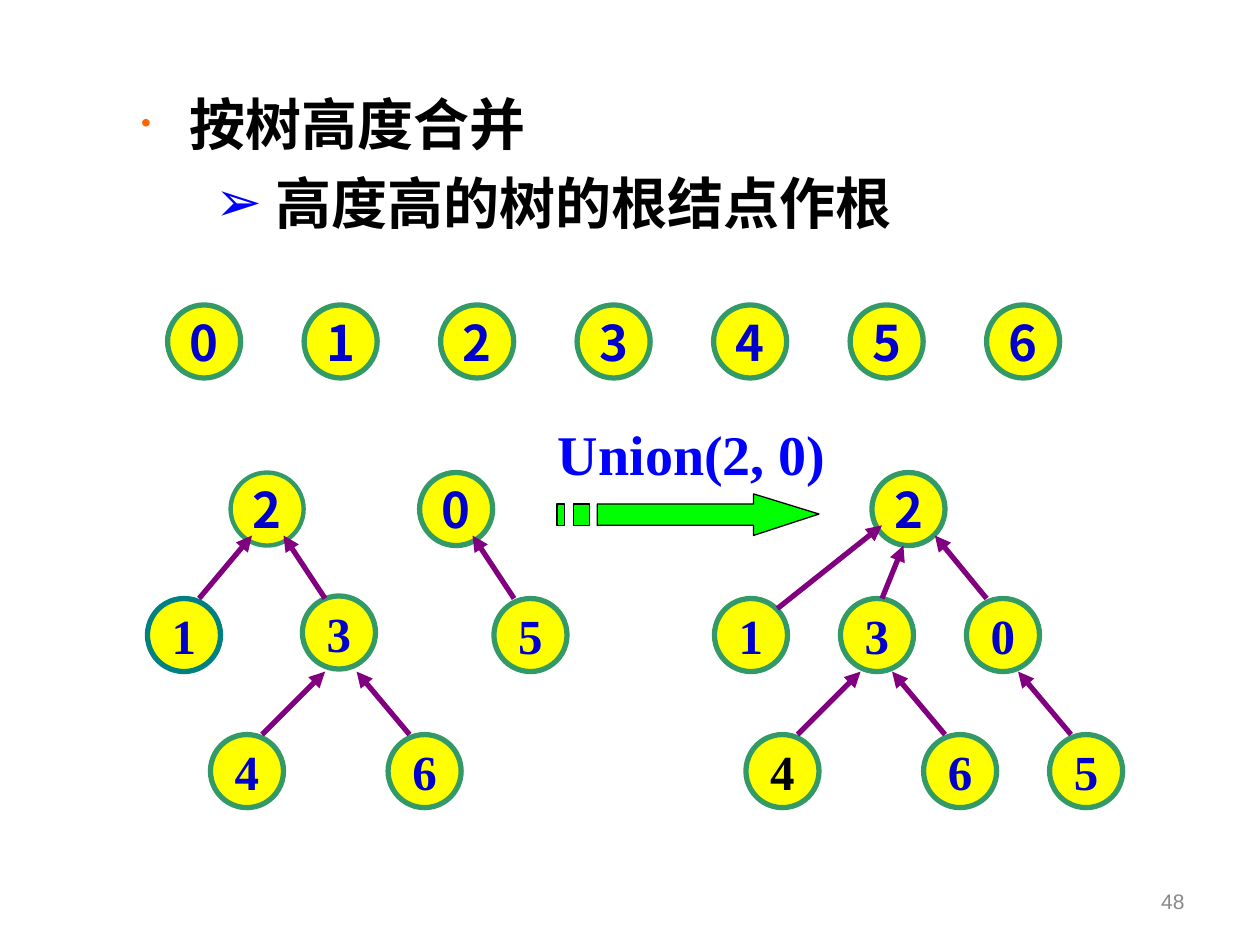
"""Build a slide on merging disjoint-set trees by height."""
from dataclasses import dataclass

from lxml import etree
from pptx import Presentation
from pptx import util as u
from pptx.dml import color
from pptx.enum import shapes, text
from pptx.oxml import ns


@dataclass(frozen=True)
class Theme:
    ink: str = "000000"
    bullet: str = "FF6600"
    blue: str = "0000FF"
    digit: str = "0000CC"
    node: str = "FFFF00"
    ring: str = "339966"
    teal: str = "008080"
    edge: str = "800080"
    arrow: str = "00FF00"
    page: str = "898989"
    large: int = 32
    medium: int = 28
    small: int = 12
    sans: str = "Noto Sans CJK SC"
    serif: str = "Times New Roman"


theme = Theme()


def write(paragraph, words, name, size, shade, bold=True):
    run = paragraph.add_run()
    run.text = words
    for key, value in {"name": name, "size": u.Pt(size), "bold": bold}.items():
        setattr(run.font, key, value)
    run.font.color.rgb = color.RGBColor.from_string(shade)
    return run


def paint(shape, fill, line, width):
    shape.shadow.inherit = False
    shape.fill.solid()
    shape.fill.fore_color.rgb = color.RGBColor.from_string(fill)
    shape.line.color.rgb = color.RGBColor.from_string(line)
    shape.line.width = u.Pt(width)


presentation = Presentation()
presentation.slide_width = u.Inches(10)
presentation.slide_height = u.Inches(7.5)
slide = presentation.slides.add_slide(presentation.slide_layouts[1])
title = slide.shapes.title.element
title.getparent().remove(title)

body = slide.placeholders[1]
body_format = {"left": 1.02, "top": 0.65, "width": 8.08, "height": 1.46}
for key, value in body_format.items():
    setattr(body, key, u.Inches(value))
body.text_frame.auto_size = text.MSO_AUTO_SIZE.NONE
points = [
    ("按树高度合并", "Calibri", 0, 0.38, -0.38, "•", theme.bullet, 50),
    (" 高度高的树的根结点作根", "Noto Sans CJK JP", 1, 0.9, -0.31, "➢", theme.blue, 100),
]
for words, name, level, margin, indent, mark, shade, percent in points:
    paragraph = body.text_frame.paragraphs[0] if level == 0 else body.text_frame.add_paragraph()
    point_format = {"level": level, "line_spacing": u.Pt(39), "space_before": u.Pt(6 * level)}
    for key, value in point_format.items():
        setattr(paragraph, key, value)
    properties = paragraph._p.get_or_add_pPr()
    properties.set("marL", str(u.Inches(margin)))
    properties.set("indent", str(u.Inches(indent)))
    bullet_color = etree.SubElement(properties, ns.qn("a:buClr"))
    etree.SubElement(bullet_color, ns.qn("a:srgbClr"), val=shade)
    etree.SubElement(properties, ns.qn("a:buSzPct"), val=str(percent * 1000))
    etree.SubElement(properties, ns.qn("a:buFont"), typeface="Arial")
    etree.SubElement(properties, ns.qn("a:buChar"), char=mark)
    run = write(paragraph, words, name, theme.large, theme.ink)
    etree.SubElement(run.font._element, ns.qn("a:ea"), typeface=name)

singles = [(str(i), 1.33 + i * 13 / 12, 2.42) for i in range(7)]
roots = [("2", 1.83, 3.75), ("0", 3.33, 3.75), ("2", 6.92, 3.75)]
children = [
    ("1", 1.17, 4.75), ("3", 2.4, 4.73), ("5", 3.92, 4.75),
    ("1", 5.67, 4.75), ("3", 6.67, 4.75), ("0", 7.67, 4.75),
    ("4", 1.67, 5.83), ("6", 3.08, 5.83),
    ("4", 5.92, 5.83), ("6", 7.33, 5.83), ("5", 8.33, 5.83),
]
ring_colors = {("1", 1.17): theme.teal}
ring_widths = {("2", 1.83): 2.5}
digit_colors = {("4", 5.92): theme.ink}
for name, nodes in [(theme.sans, singles + roots), (theme.serif, children)]:
    for digit, left, top in nodes:
        node = slide.shapes.add_shape(
            shapes.MSO_SHAPE.OVAL, u.Inches(left), u.Inches(top), u.Inches(0.58), u.Inches(0.58))
        key = (digit, left)
        paint(node, theme.node, ring_colors.get(key, theme.ring), ring_widths.get(key, 3))
        node.text_frame.word_wrap = False
        node.text_frame.vertical_anchor = text.MSO_ANCHOR.MIDDLE
        paragraph = node.text_frame.paragraphs[0]
        paragraph.alignment = text.PP_ALIGN.CENTER
        write(paragraph, digit, name, theme.medium, digit_colors.get(key, theme.digit))

edges = [
    (2.58, 4.75, 2.25, 4.25), (1.58, 4.75, 2, 4.25), (2.08, 5.83, 2.58, 5.33),
    (3.25, 5.83, 2.83, 5.33), (4.08, 4.75, 3.75, 4.25), (6.33, 5.83, 6.83, 5.33),
    (7.5, 5.83, 7.08, 5.33), (7, 4.75, 7.17, 4.33), (8.5, 5.83, 8.08, 5.33),
    (6.17, 4.83, 7, 4.17), (7.83, 4.75, 7.42, 4.25),
]
for edge in edges:
    connector = slide.shapes.add_connector(
        shapes.MSO_CONNECTOR.STRAIGHT, *[u.Inches(value) for value in edge])
    connector.line.color.rgb = color.RGBColor.from_string(theme.edge)
    connector.line.width = u.Pt(3)
    properties = connector.element.spPr
    etree.SubElement(properties.find(ns.qn("a:ln")), ns.qn("a:tailEnd"), type="triangle")
    etree.SubElement(properties, ns.qn("a:effectLst"))

labels = [
    ("Union(2, 0)", (4.33, 3.28, 2.4, 0.64), theme.serif, theme.large, theme.blue, True,
     {"word_wrap": False, "auto_size": text.MSO_AUTO_SIZE.NONE},
     text.PP_ALIGN.LEFT),
    ("48", (7.17, 6.95, 2.33, 0.4), "Arial", theme.small, theme.page, False,
     {"word_wrap": True, "vertical_anchor": text.MSO_ANCHOR.MIDDLE},
     text.PP_ALIGN.RIGHT),
]
for words, box, name, size, shade, bold, frame_format, alignment in labels:
    label = slide.shapes.add_textbox(*[u.Inches(value) for value in box])
    for key, value in frame_format.items():
        setattr(label.text_frame, key, value)
    paragraph = label.text_frame.paragraphs[0]
    paragraph.alignment = alignment
    write(paragraph, words, name, size, shade, bold)

head = [(5.98, 3.92), (5.98, 4), (4.74, 4), (4.74, 4.17), (5.98, 4.17), (5.98, 4.25), (6.5, 4.08)]
stripes = [[(left, 4), (left, 4.17), (right, 4.17), (right, 4)]
           for left, right in [(4.55, 4.68), (4.42, 4.48)]]
outlines = [[(u.Inches(x), u.Inches(y)) for x, y in outline] for outline in [head, *stripes]]
builder = slide.shapes.build_freeform(*outlines[0][0])
for outline in outlines:
    if outline is not outlines[0]:
        builder.move_to(*outline[0])
    builder.add_line_segments(outline[1:], close=True)
paint(builder.convert_to_shape(), theme.arrow, theme.ink, 0.75)

presentation.save("out.pptx")
